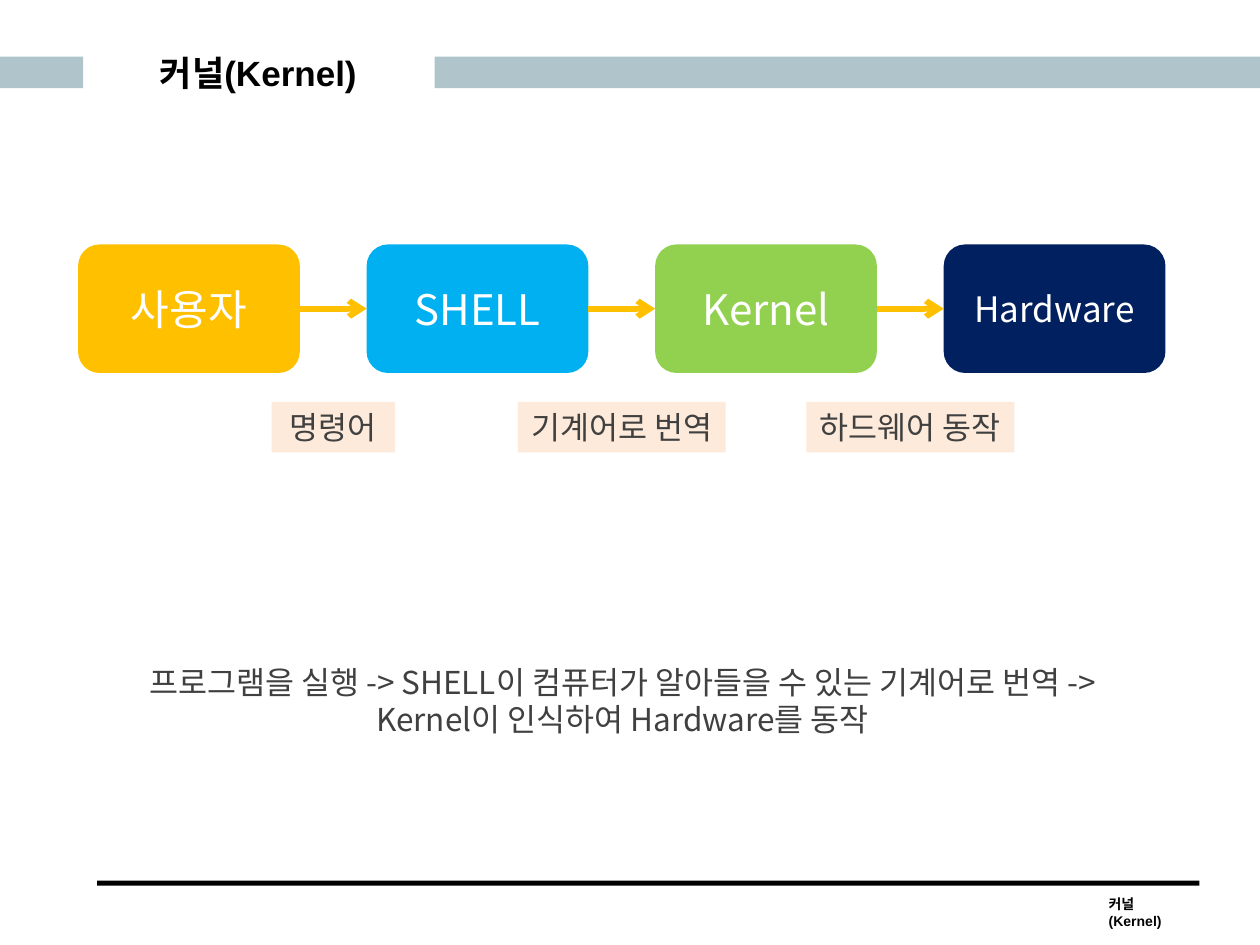
from dataclasses import dataclass

from lxml.etree import SubElement
from pptx import Presentation
from pptx.dml.color import RGBColor
from pptx.enum.shapes import MSO_CONNECTOR, MSO_SHAPE
from pptx.enum.text import MSO_ANCHOR, MSO_AUTO_SIZE, PP_ALIGN
from pptx.oxml.ns import qn
from pptx.util import Inches, Pt


@dataclass(frozen=True)
class Theme:
    heading_font: str = "Arial"
    body_font: str = "Noto Sans CJK KR"
    band: str = "AFC5CB"
    black: str = "000000"
    white: str = "FFFFFF"
    text: str = "404040"
    label: str = "FDEADA"
    user: str = "FFC000"
    shell: str = "00B0F0"
    kernel: str = "92D050"
    hardware: str = "002060"
    title_size: int = 20
    step_size: int = 24
    body_size: int = 18
    footer_size: int = 8
    arrow_width: float = 3.25


class SlideBuilder:
    def __init__(self, slide, theme):
        self.slide = slide
        self.theme = theme

    def fill_text(self, shape, lines, size, color, font=None, bold=False,
                  align=PP_ALIGN.CENTER, anchor=MSO_ANCHOR.MIDDLE):
        frame = shape.text_frame
        frame.word_wrap = True
        frame.auto_size = MSO_AUTO_SIZE.NONE
        frame.vertical_anchor = anchor
        for index, line in enumerate(lines):
            paragraph = frame.add_paragraph() if index else frame.paragraphs[0]
            paragraph.alignment = align
            run = paragraph.add_run()
            run.text = line
            run.font.name = font or self.theme.body_font
            run.font.size = Pt(size)
            run.font.bold = bold
            run.font.color.rgb = RGBColor.from_string(color)
            east_asian = SubElement(run.font._element, qn("a:ea"))
            east_asian.set("typeface", self.theme.body_font)

    def title(self, text, left, top, width, height):
        title = self.slide.shapes.title
        title.left, title.top = Inches(left), Inches(top)
        title.width, title.height = Inches(width), Inches(height)
        self.fill_text(title, [text], self.theme.title_size, self.theme.black,
                       self.theme.heading_font, bold=True)

    def box(self, left, top, width, height, fill, kind=MSO_SHAPE.RECTANGLE):
        box = self.slide.shapes.add_shape(
            kind, Inches(left), Inches(top), Inches(width), Inches(height))
        box.shadow.inherit = False
        box.fill.solid()
        box.fill.fore_color.rgb = RGBColor.from_string(fill)
        box.line.fill.background()
        return box

    def text(self, lines, left, top, width, height, size, color, **style):
        area = self.slide.shapes.add_textbox(
            Inches(left), Inches(top), Inches(width), Inches(height))
        self.fill_text(area, lines, size, color, anchor=MSO_ANCHOR.TOP, **style)

    def arrow(self, source, target):
        """Join the right side of source to the left side of target."""
        arrow = self.slide.shapes.add_connector(MSO_CONNECTOR.STRAIGHT, 0, 0, 0, 0)
        arrow.begin_connect(source, 3)
        arrow.end_connect(target, 1)
        arrow.line.color.rgb = RGBColor.from_string(self.theme.user)
        arrow.line.width = Pt(self.theme.arrow_width)
        properties = arrow._element.spPr
        SubElement(properties.find(qn("a:ln")), qn("a:tailEnd")).set("type", "arrow")
        SubElement(properties, qn("a:effectLst"))


def main():
    presentation = Presentation()
    presentation.slide_width, presentation.slide_height = Inches(10), Inches(7.5)
    theme = Theme()
    slide = presentation.slides.add_slide(presentation.slide_layouts[5])
    builder = SlideBuilder(slide, theme)
    topic = "커널(Kernel)"

    builder.box(0, 0.45, 0.66, 0.25, theme.band)
    builder.box(3.45, 0.45, 6.55, 0.25, theme.band)
    builder.box(0.77, 6.99, 8.75, 0.04, theme.black)
    builder.text([topic], 8.7, 7.06, 0.82, 0.24, theme.footer_size, theme.black,
                 font=theme.heading_font, bold=True, align=PP_ALIGN.LEFT)
    builder.title(topic, 0.75, 0.36, 2.6, 0.43)

    first_left, pitch, step_width = 0.62, 2.29, 1.76
    steps = []
    for index, (name, fill, size) in enumerate([
            ("사용자", theme.user, theme.step_size),
            ("SHELL", theme.shell, theme.step_size),
            ("Kernel", theme.kernel, theme.step_size),
            ("Hardware", theme.hardware, theme.title_size)]):
        step = builder.box(first_left + index * pitch, 1.94, step_width, 1.02,
                           fill, MSO_SHAPE.ROUNDED_RECTANGLE)
        builder.fill_text(step, [name], size, theme.white)
        steps.append(step)

    for source, target in zip(steps, steps[1:]):
        builder.arrow(source, target)

    first_gap_center = first_left + (step_width + pitch) / 2
    for index, (action, width) in enumerate([
            ("명령어", 0.98), ("기계어로 번역", 1.65), ("하드웨어 동작", 1.65)]):
        left = first_gap_center + index * pitch - width / 2
        label = builder.box(left, 3.19, width, 0.4, theme.label)
        builder.fill_text(label, [action], theme.body_size, theme.text)

    builder.text(
        ["프로그램을 실행 -> SHELL이 컴퓨터가 알아들을 수 있는 기계어로 번역 ->",
         "Kernel이 인식하여 Hardware를 동작"],
        first_left, 5.21, 8.64, 0.71, theme.body_size, theme.text)

    presentation.save("out.pptx")


if __name__ == "__main__":
    main()
